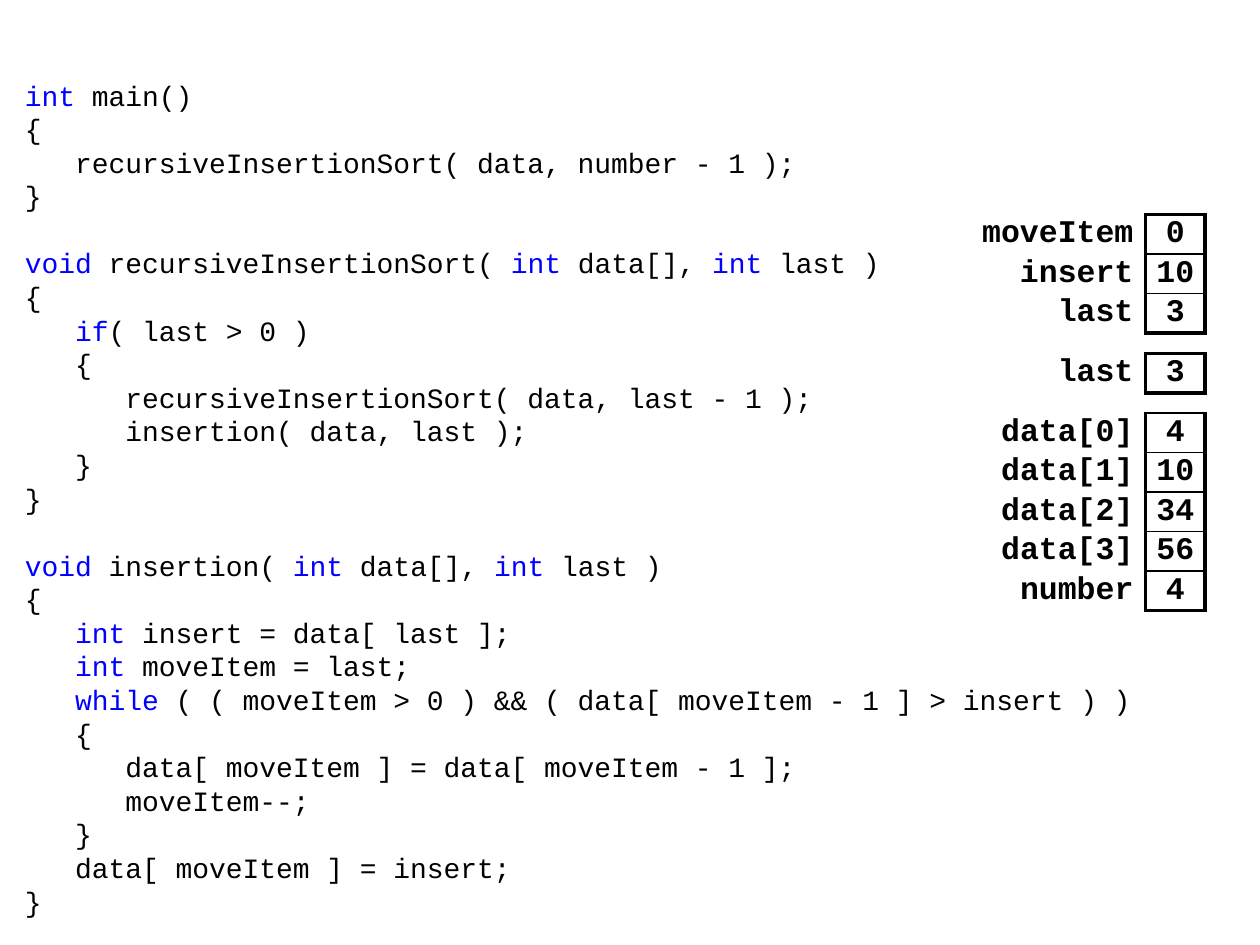
from dataclasses import dataclass

from lxml.etree import SubElement
from pptx import Presentation
from pptx.dml.color import RGBColor
from pptx.enum.text import MSO_ANCHOR, MSO_AUTO_SIZE, PP_ALIGN
from pptx.oxml.ns import qn
from pptx.util import Pt


@dataclass(frozen=True)
class Theme:
    font: str = "Courier New"
    ink: str = "000000"
    keyword: str = "0000FF"
    code_size: float = 16
    code_pitch: float = 19.2
    table_size: float = 18
    thick: float = 2.25
    medium: float = 1.5
    thin: float = 1


THEME = Theme()
NO_TABLE_STYLE = "{2D5ABB26-0587-4C30-8999-92F81FD0307C}"

# Backticks enclose the keywords
FUNCTIONS = [
    """`int` main()
{
   recursiveInsertionSort( data, number - 1 );
}""",
    """`void `recursiveInsertionSort( `int` data[], `int `last )
{
   `if`( last > 0 )
   {
      recursiveInsertionSort( data, last - 1 );
      insertion( data, last );
   }
}""",
    """`void` insertion( `int` data[], `int `last )
{
   `int` insert = data[ last ];
   `int `moveItem = last;
   `while` ( ( moveItem > 0 ) && ( data[ moveItem - 1 ] > insert ) )
   {
      data[ moveItem ] = data[ moveItem - 1 ];
      moveItem--;
   }
   data[ moveItem ] = insert;
}""",
]

# Stack frames: top, label width, rows
FRAMES = [
    (122.6, 102.2, [("moveItem", "0"), ("insert", "10"), ("last", "3")]),
    (202, 57, [("last", "3")]),
    (236, 91, [("data[0]", "4"), ("data[1]", "10"), ("data[2]", "34"),
               ("data[3]", "56"), ("number", "4")]),
]
FRAME_RIGHT, VALUE_WIDTH, ROW_HEIGHT = 688.6, 34, 22.6


def apply_format(target, values):
    for name, value in values.items():
        setattr(target, name, value)


def add_run(paragraph, text, size, color, bold=False):
    run = paragraph.add_run()
    run.text = text
    apply_format(run.font, {"name": THEME.font, "size": Pt(size), "bold": bold})
    run.font.color.rgb = RGBColor.from_string(color)


def add_code(placeholder, left, top, width, height):
    apply_format(placeholder, {"left": Pt(left), "top": Pt(top),
                               "width": Pt(width), "height": Pt(height)})
    frame = placeholder.text_frame
    apply_format(frame, {
        "margin_left": Pt(5.6), "margin_right": Pt(5.6),
        "margin_top": Pt(1.4), "margin_bottom": Pt(1.4), "word_wrap": True,
        "auto_size": MSO_AUTO_SIZE.NONE, "vertical_anchor": MSO_ANCHOR.TOP,
    })
    paragraph = None
    for function in FUNCTIONS:
        for number, line in enumerate(function.splitlines()):
            starts_later_function = paragraph is not None and number == 0
            paragraph = frame.add_paragraph() if paragraph is not None else frame.paragraphs[0]
            apply_format(paragraph, {
                "alignment": PP_ALIGN.LEFT,
                "line_spacing": Pt(THEME.code_pitch),
                "space_before": Pt(THEME.code_pitch if starts_later_function else 0),
                "space_after": Pt(0),
            })
            properties = paragraph._p.get_or_add_pPr()
            properties.set("marL", "0")
            properties.set("indent", "0")
            SubElement(properties, qn("a:buNone"))
            for index, text in enumerate(line.split("`")):
                if text:
                    color = THEME.keyword if index % 2 else THEME.ink
                    add_run(paragraph, text, THEME.code_size, color)


def add_borders(cell, widths):
    properties = cell._tc.get_or_add_tcPr()
    for side in "LRTB":
        if side in widths:
            line = SubElement(properties, qn(f"a:ln{side}"), w=str(Pt(widths[side])))
            fill = SubElement(line, qn("a:solidFill"))
            SubElement(fill, qn("a:srgbClr"), val=THEME.ink)


def fill_cell(cell, text, alignment, margins, borders):
    left, right = margins
    apply_format(cell, {
        "margin_left": Pt(left), "margin_right": Pt(right),
        "margin_top": Pt(0), "margin_bottom": Pt(0),
        "vertical_anchor": MSO_ANCHOR.MIDDLE,
    })
    paragraph = cell.text_frame.paragraphs[0]
    paragraph.alignment = alignment
    add_run(paragraph, text, THEME.table_size, THEME.ink, bold=True)
    add_borders(cell, borders)
    cell.fill.background()


def add_frame(slide, right, top, label_width, rows):
    width = label_width + VALUE_WIDTH
    shape = slide.shapes.add_table(len(rows), 2, Pt(right - width), Pt(top),
                                   Pt(width), Pt(ROW_HEIGHT * len(rows)))
    table = shape.table
    apply_format(table, {"first_row": False, "horz_banding": False})
    table._tbl.tblPr.find(qn("a:tableStyleId")).text = NO_TABLE_STYLE
    for column, column_width in zip(table.columns, (label_width, VALUE_WIDTH)):
        column.width = Pt(column_width)

    last = len(rows) - 1
    outer_top = THEME.medium if last else THEME.thick
    for index, (label, value) in enumerate(rows):
        table.rows[index].height = Pt(ROW_HEIGHT)
        fill_cell(table.cell(index, 0), label, PP_ALIGN.RIGHT, (4, 7), {"R": THEME.thick})
        fill_cell(table.cell(index, 1), value, PP_ALIGN.CENTER, (5.6, 5.6), {
            "L": THEME.thick, "R": THEME.thick,
            "T": THEME.thin if index else outer_top,
            "B": THEME.thick if index == last else THEME.thin,
        })


def main():
    presentation = Presentation()
    presentation.slide_width, presentation.slide_height = Pt(720), Pt(540)
    slide = presentation.slides.add_slide(presentation.slide_layouts[1])
    title = slide.shapes.title._element
    title.getparent().remove(title)

    # Source code
    add_code(slide.placeholders[1], 8.6, 43.2, 657.4, 487.4)

    # Stack frames beside the code
    for top, label_width, rows in FRAMES:
        add_frame(slide, FRAME_RIGHT, top, label_width, rows)

    presentation.save("out.pptx")


if __name__ == "__main__":
    main()
